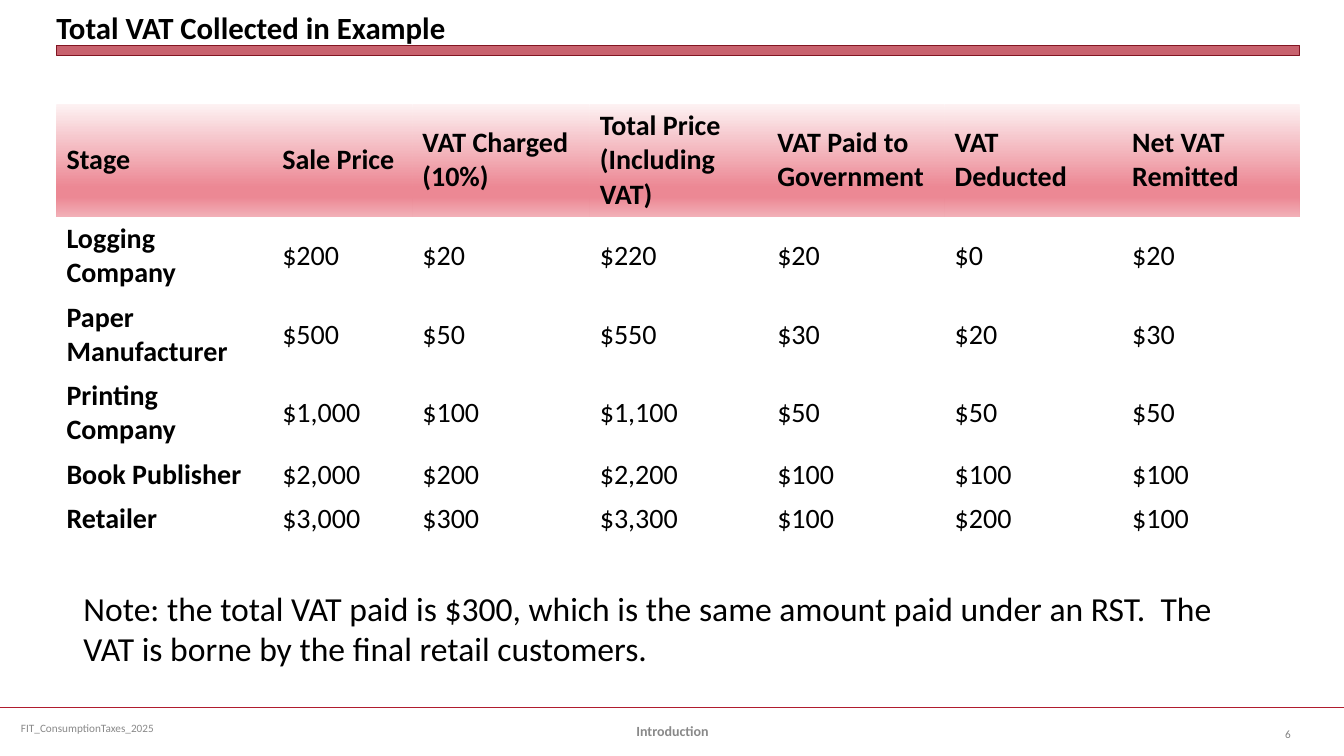
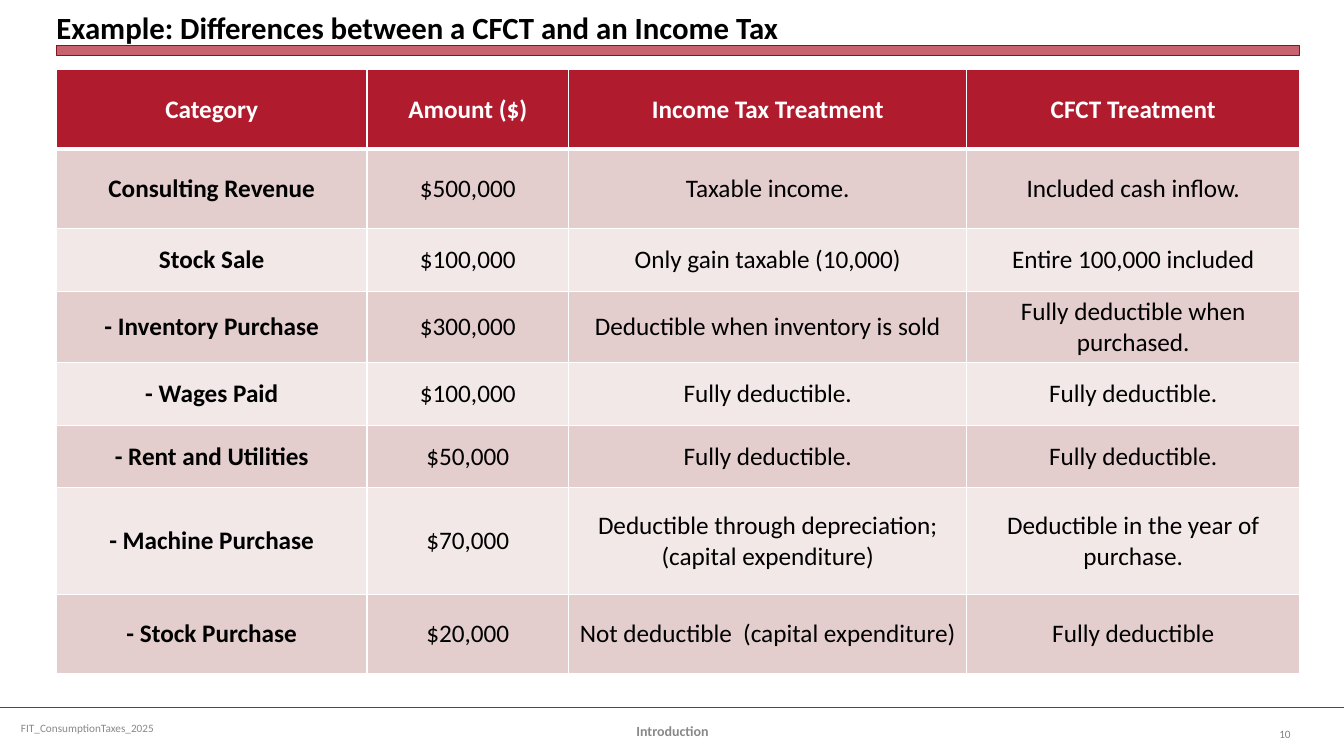
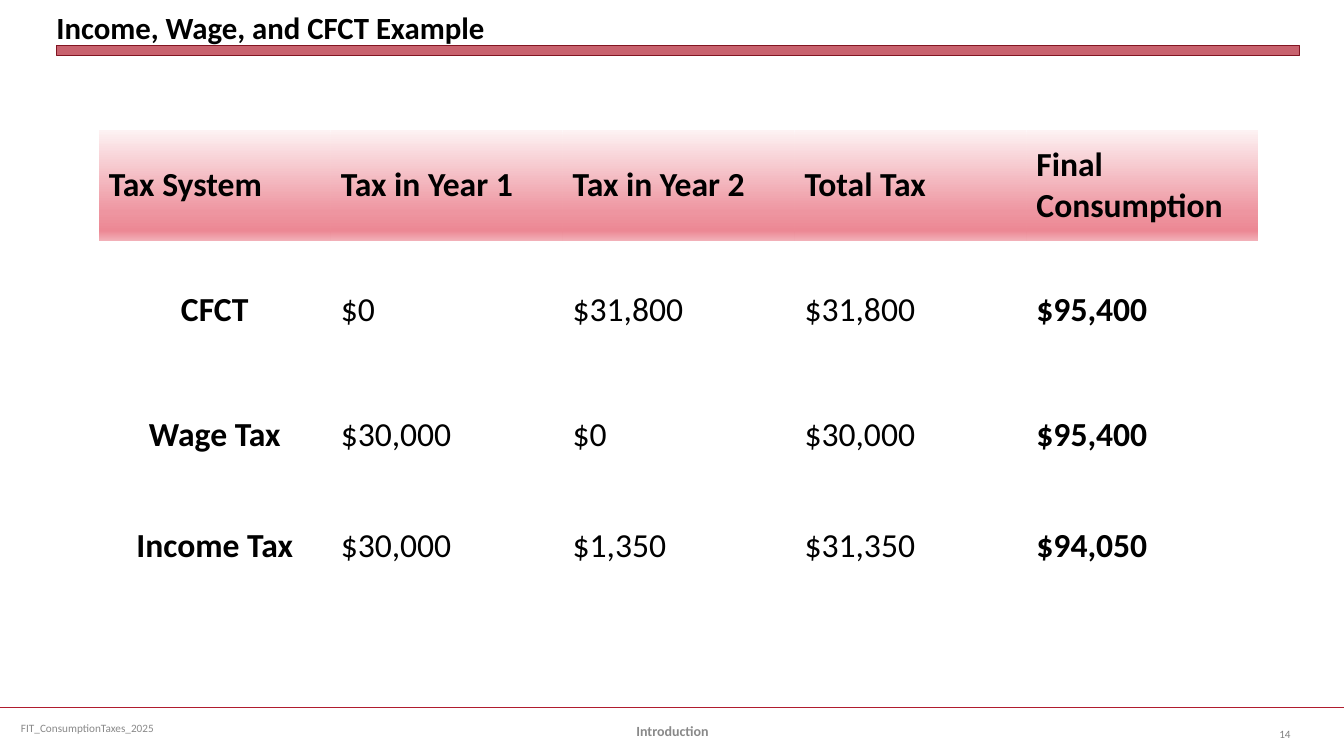
import pptx
import pptx.util
import pptx.oxml
import pptx.oxml.ns
import pptx.dml.color
import pptx.enum.shapes
import pptx.enum.text
from lxml import etree

Inches, Pt = pptx.util.Inches, pptx.util.Pt
RGBColor = pptx.dml.color.RGBColor
ALIGN = pptx.enum.text.PP_ALIGN
ANCHOR = pptx.enum.text.MSO_ANCHOR
AUTO_SIZE = pptx.enum.text.MSO_AUTO_SIZE
qn = pptx.oxml.ns.qn

# Shared look
FONT = "Calibri"
BLACK, WHITE = RGBColor(0, 0, 0), RGBColor(255, 255, 255)
CRIMSON, DARK_CRIMSON = RGBColor(0xB0, 0x1C, 0x2E), RGBColor(0x82, 0x15, 0x22)
FOOTER_GREY, NUMBER_GREY = RGBColor(0x89, 0x89, 0x89), RGBColor(0x80, 0x80, 0x80)
BANDS = (RGBColor(0xE4, 0xCD, 0xCD), RGBColor(0xF2, 0xE8, 0xE8))
NO_STYLE = "{2D5ABB26-0587-4C30-8999-92F81FD0307C}"
SLIDE_W, SLIDE_H = 13.33, 7.5
MARGIN, CONTENT_W = 0.56, 12.33
FOOTER_Y = 7.02

# Content
SLIDES = [
    dict(
        title="Total VAT Collected in Example", number="6",
        table=dict(
            at=(MARGIN, 1.03), size=20, bold_columns=(0,),
            columns=[2.14, 1.39] + [1.76] * 5,
            heights=[1.12] + [0.78] * 3 + [0.44] * 2,
            gradient=[(0, "FDF2F3"), (74, "EC8894"), (83, "EC8894"), (100, "F2B0B8")],
            rows=[
                ("Stage", "Sale Price", "VAT Charged (10%)", "Total Price (Including VAT)",
                 "VAT Paid to Government", "VAT Deducted", "Net VAT Remitted"),
                ("Logging Company", "$200", "$20", "$220", "$20", "$0", "$20"),
                ("Paper Manufacturer", "$500", "$50", "$550", "$30", "$20", "$30"),
                ("Printing Company", "$1,000", "$100", "$1,100", "$50", "$50", "$50"),
                ("Book Publisher", "$2,000", "$200", "$2,200", "$100", "$100", "$100"),
                ("Retailer", "$3,000", "$300", "$3,300", "$100", "$200", "$100"),
            ]),
        note="Note: the total VAT paid is $300, which is the same amount paid under an RST.  "
             "The VAT is borne by the final retail customers."),
    dict(
        title="Example: Differences between a CFCT and an Income Tax", number="10",
        table=dict(
            at=(MARGIN, 0.69), size=18, bold_columns=(0,), centred_columns=(0, 1, 2, 3),
            columns=[3.08, 2, 3.95, 3.3],
            heights=[0.79, 0.79, 0.62, 0.71, 0.62, 0.62, 1.06, 0.78],
            rows=[
                ("Category", "Amount ($)", "Income Tax Treatment", "CFCT Treatment"),
                ("Consulting Revenue", "$500,000", "Taxable income.", "Included cash inflow."),
                ("Stock Sale", "$100,000", "Only gain taxable (10,000)", "Entire 100,000 included"),
                ("- Inventory Purchase", "$300,000", "Deductible when inventory is sold",
                 "Fully deductible when purchased."),
                ("- Wages Paid", "$100,000", "Fully deductible.", "Fully deductible."),
                ("- Rent and Utilities", "$50,000", "Fully deductible.", "Fully deductible."),
                ("- Machine Purchase", "$70,000",
                 "Deductible through depreciation; (capital expenditure)",
                 "Deductible in the year of purchase."),
                ("- Stock Purchase", "$20,000", "Not deductible  (capital expenditure)",
                 "Fully deductible"),
            ])),
    dict(
        title="Income, Wage, and CFCT Example", number="14",
        table=dict(
            at=(0.98, 1.29), size=24, bold_columns=(0, 4), centred_columns=(0,),
            columns=[2.3] * 5, heights=[1.1, 1.38, 1.1, 1.1],
            gradient=[(0, "FDF2F3"), (74, "EE95A0"), (91, "EC8894"), (100, "F2B0B8")],
            rows=[
                ("Tax System", "Tax in Year 1", "Tax in Year 2", "Total Tax", "Final Consumption"),
                ("CFCT", "$0", "$31,800", "$31,800", "$95,400"),
                ("Wage Tax", "$30,000", "$0", "$30,000", "$95,400"),
                ("Income Tax", "$30,000", "$1,350", "$31,350", "$94,050"),
            ])),
]


def write(frame, text, size, color=BLACK, bold=False, align=ALIGN.LEFT):
    frame.text = text
    paragraph = frame.paragraphs[0]
    paragraph.alignment = align
    font = paragraph.runs[0].font
    for key, value in dict(name=FONT, size=Pt(size), bold=bold).items():
        setattr(font, key, value)
    font.color.rgb = color


def add_label(slide, at, text, size, anchor=ANCHOR.MIDDLE, **look):
    label = slide.shapes.add_textbox(*map(Inches, at))
    frame = label.text_frame
    frame.word_wrap = True
    frame.vertical_anchor = anchor
    write(frame, text, size, **look)
    return frame


def add_frame(slide, title, number):
    # Title
    heading = slide.shapes.title
    place = dict(left=MARGIN, top=0.05, width=CONTENT_W, height=0.4)
    for key, value in place.items():
        setattr(heading, key, Inches(value))
    frame = heading.text_frame
    layout = dict(margin_left=0, margin_top=0, margin_right=0, margin_bottom=0,
                  vertical_anchor=ANCHOR.BOTTOM, word_wrap=True, auto_size=AUTO_SIZE.NONE)
    for key, value in layout.items():
        setattr(frame, key, value)
    write(frame, title, 22, bold=True)

    # Translucent band under the title
    band = slide.shapes.add_shape(pptx.enum.shapes.MSO_SHAPE.RECTANGLE,
                                  *map(Inches, (MARGIN, 0.45, CONTENT_W, 0.1)))
    band.shadow.inherit = False
    band.fill.solid()
    band.fill.fore_color.rgb = CRIMSON
    color = band.fill._xPr.find(qn("a:solidFill"))[0]
    etree.SubElement(color, qn("a:alpha"), val="69000")
    band.line.color.rgb = DARK_CRIMSON
    band.line.width = 0

    # Footer
    rule = slide.shapes.add_connector(pptx.enum.shapes.MSO_CONNECTOR.STRAIGHT, 0,
                                      Inches(FOOTER_Y), Inches(SLIDE_W), Inches(FOOTER_Y))
    rule.line.color.rgb = CRIMSON
    rule.line.width = Pt(1.25)
    etree.SubElement(rule._element.spPr, qn("a:effectLst"))
    add_label(slide, (0.11, FOOTER_Y, 3.44, 0.4), "FIT_ConsumptionTaxes_2025", 8,
              color=FOOTER_GREY)
    add_label(slide, (4.56, 7.05, 4.22, 0.4), "Introduction", 10,
              color=FOOTER_GREY, bold=True, align=ALIGN.CENTER)
    add_label(slide, (12.23, 7.08, 0.67, 0.4), number, 8,
              color=NUMBER_GREY, align=ALIGN.RIGHT)


def fill_gradient(cell, stops):
    properties = cell._tc.get_or_add_tcPr()
    gradient = etree.SubElement(properties, qn("a:gradFill"), rotWithShape="1")
    stop_list = etree.SubElement(gradient, qn("a:gsLst"))
    for percent, color in stops:
        stop = etree.SubElement(stop_list, qn("a:gs"), pos=str(percent * 1000))
        etree.SubElement(stop, qn("a:srgbClr"), val=color)
    etree.SubElement(gradient, qn("a:lin"), ang="5400000", scaled="0")


def fill_banded(cell, row):
    # White borders, heavier between the header and the body
    properties = cell._tc.get_or_add_tcPr()
    widths = dict(lnL=1, lnR=1, lnT=3 if row == 1 else 1, lnB=3 if row == 0 else 1)
    for side, width in widths.items():
        border = etree.SubElement(properties, qn("a:" + side), w=str(Pt(width)))
        solid = etree.SubElement(border, qn("a:solidFill"))
        etree.SubElement(solid, qn("a:srgbClr"), val=str(WHITE))
    cell.fill.solid()
    cell.fill.fore_color.rgb = BANDS[(row - 1) % 2] if row else CRIMSON


def add_table(slide, at, size, columns, heights, rows, bold_columns,
              centred_columns=(), gradient=None):
    holder = slide.shapes.add_table(
        len(rows), len(columns),
        *map(Inches, (*at, sum(columns), sum(heights))))
    table = holder.table
    table._tbl.tblPr.find(qn("a:tableStyleId")).text = NO_STYLE
    table.horz_banding = False
    for column, width in zip(table.columns, columns):
        column.width = Inches(width)
    for table_row, height in zip(table.rows, heights):
        table_row.height = Inches(height)

    for r, texts in enumerate(rows):
        for c, text in enumerate(texts):
            cell = table.cell(r, c)
            header = r == 0
            centred = c in centred_columns and not (header and gradient)
            cell.vertical_anchor = ANCHOR.MIDDLE
            write(cell.text_frame, text, size,
                  color=WHITE if header and not gradient else BLACK,
                  bold=header or c in bold_columns,
                  align=ALIGN.CENTER if centred else ALIGN.LEFT)
            if not gradient:
                fill_banded(cell, r)
            elif header:
                fill_gradient(cell, gradient)
            else:
                cell.fill.background()


def main():
    deck = pptx.Presentation()
    deck.slide_width, deck.slide_height = Inches(SLIDE_W), Inches(SLIDE_H)
    title_only = deck.slide_layouts[5]
    for content in SLIDES:
        slide = deck.slides.add_slide(title_only)
        add_frame(slide, content["title"], content["number"])
        add_table(slide, **content["table"])
        if "note" in content:
            note = add_label(slide, (0.73, 5.78, 11.8, 0.91), content["note"], 24,
                             anchor=ANCHOR.TOP)
            note.auto_size = AUTO_SIZE.SHAPE_TO_FIT_TEXT
    deck.save("out.pptx")


if __name__ == "__main__":
    main()
